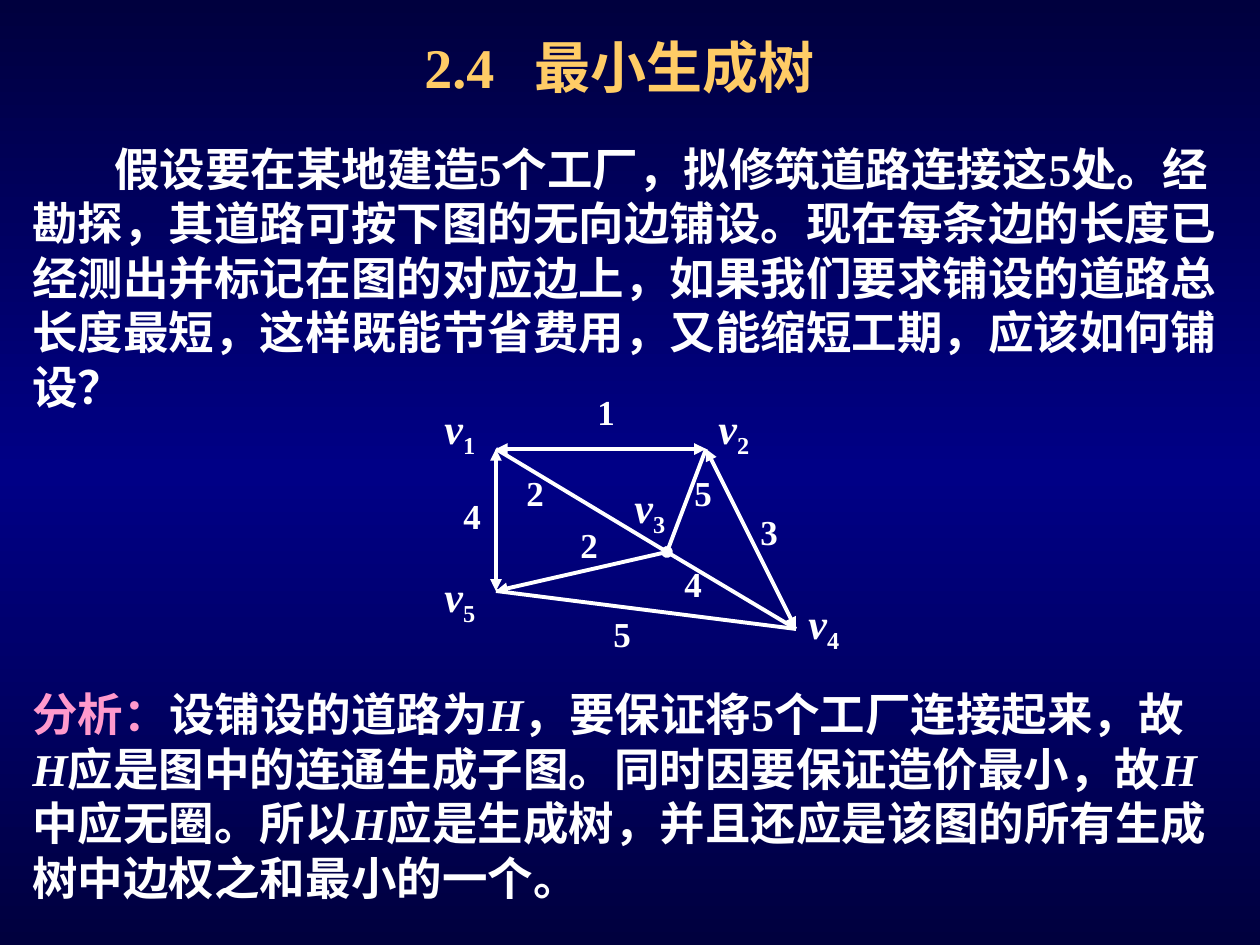
from copy import deepcopy

from lxml import etree
from pptx import Presentation
from pptx.dml.color import RGBColor
from pptx.enum.shapes import MSO_CONNECTOR
from pptx.enum.text import MSO_ANCHOR, MSO_AUTO_SIZE
from pptx.oxml.ns import qn
from pptx.util import Emu, Pt

STRAIGHT = MSO_CONNECTOR.STRAIGHT
TOP, MIDDLE = MSO_ANCHOR.TOP, MSO_ANCHOR.MIDDLE
GROW = MSO_AUTO_SIZE.SHAPE_TO_FIT_TEXT

FONT = "Times New Roman"
COLORS = {"edge": "00003E", "center": "000086", "title": "FFCC66",
          "body": "FFFFFF", "lead": "FF99CC"}

TITLE = "2.4\t最小生成树"
TITLE_TAB = 110
INTRO = ("假设要在某地建造5个工厂，拟修筑道路连接这5处。经勘探，其道路可按下图的无向边铺设。"
         "现在每条边的长度已经测出并标记在图的对应边上，如果我们要求铺设的道路总长度最短，"
         "这样既能节省费用，又能缩短工期，应该如何铺设？")
INTRO_INDENT = 82
LEAD = "分析："
ANALYSIS = [
    "设铺设的道路为",
    "，要保证将5个工厂连接起来，故",
    "应是图中的连通生成子图。同时因要保证造价最小，故",
    "中应无圈。所以",
    "应是生成树，并且还应是该图的所有生成树中边权之和最小的一个。",
]

VERTICES = {
    "1": ((496, 449), (432, 396, 81)),
    "2": ((706, 449), (706, 396, 81)),
    "3": ((667, 552), (622, 475, 63)),
    "4": ((796, 629), (796, 591, 81)),
    "5": ((496, 591), (432, 564, 81)),
}
EDGES = [
    ("1", "5", "4", (451, 488, 39), "triangle", "triangle"),
    ("1", "3", "2", (514, 465, 81), None, None),
    ("1", "2", "1", (585, 384, 81), "triangle", "triangle"),
    ("2", "3", "5", (682, 465, 68), None, None),
    ("5", "4", "5", (601, 606, 49), None, None),
    ("3", "4", "4", (672, 556, 81), None, None),
    ("2", "4", "3", (748, 504, 45), "triangle", "triangle"),
    ("5", "3", "2", (568, 517, 81), "triangle", "oval"),
]
VERTEX_HEIGHT, WEIGHT_HEIGHT = 71, 55


def px(length):
    return Emu(round(length * 914400 / 126))


def color(name):
    return RGBColor.from_string(COLORS[name])


def add_text(shapes, box, anchor=TOP):
    textbox = shapes.add_textbox(*map(px, box))
    frame = textbox.text_frame
    frame.word_wrap = True
    frame.auto_size = GROW
    frame.vertical_anchor = anchor
    return frame.paragraphs[0]


def add_run(paragraph, text, size, tint="body", italic=False, baseline=0):
    run = paragraph.add_run()
    run.text = text
    font = run.font
    font.name, font.size, font.bold, font.italic = FONT, Pt(size), True, italic
    font.color.rgb = color(tint)
    if baseline:
        run._r.get_or_add_rPr().set("baseline", str(baseline * 1000))


def add_edge(shapes, start, end, head, tail):
    edge = shapes.add_connector(STRAIGHT, *map(px, start + end))
    edge.line.color.rgb = color("body")
    edge.line.width = Pt(2.25)
    outline = edge.line._get_or_add_ln()
    for tag, kind in (("a:headEnd", head), ("a:tailEnd", tail)):
        if kind:
            etree.SubElement(outline, qn(tag), type=kind)
    etree.SubElement(edge._element.spPr, qn("a:effectLst"))


def paint_background(slide):
    fill = slide.background.fill
    fill.gradient()
    fill.gradient_angle = 270
    stop_list = slide.element.find(".//" + qn("a:gsLst"))
    stop_list.append(deepcopy(stop_list[-1]))
    for stop, (position, name) in zip(
            fill.gradient_stops, [(0, "edge"), (0.5, "center"), (1, "edge")]):
        stop.position = position
        stop.color.rgb = color(name)


def main():
    deck = Presentation()
    deck.slide_width, deck.slide_height = px(1260), px(945)
    slide = deck.slides.add_slide(deck.slide_layouts[6])
    paint_background(slide)

    title = add_text(slide.shapes, (412, 26, 427, 81))
    tabs = etree.SubElement(title._p.get_or_add_pPr(), qn("a:tabLst"))
    etree.SubElement(tabs, qn("a:tab"), pos=str(px(TITLE_TAB)), algn="l")
    add_run(title, TITLE, 32, "title")

    intro = add_text(slide.shapes, (20, 134, 1226, 286), MIDDLE)
    intro_format = intro._p.get_or_add_pPr()
    intro_format.set("marL", "0")
    intro_format.set("indent", str(px(INTRO_INDENT)))
    add_run(intro, INTRO, 26)

    graph = slide.shapes.add_group_shape().shapes
    for start, end, _, _, head, tail in EDGES:
        add_edge(graph, VERTICES[start][0], VERTICES[end][0], head, tail)
    for index, (_, place) in VERTICES.items():
        vertex = add_text(graph, place + (VERTEX_HEIGHT,))
        add_run(vertex, "v", 24, italic=True)
        add_run(vertex, index, 24, baseline=-25)
    for _, _, weight, place, _, _ in EDGES:
        add_run(add_text(graph, place + (WEIGHT_HEIGHT,)), weight, 20)

    analysis = add_text(slide.shapes, (20, 680, 1206, 232))
    add_run(analysis, LEAD, 26, "lead")
    for number, part in enumerate(ANALYSIS):
        if number:
            add_run(analysis, "H", 26, italic=True)
        add_run(analysis, part, 26)

    deck.save("out.pptx")


if __name__ == "__main__":
    main()
